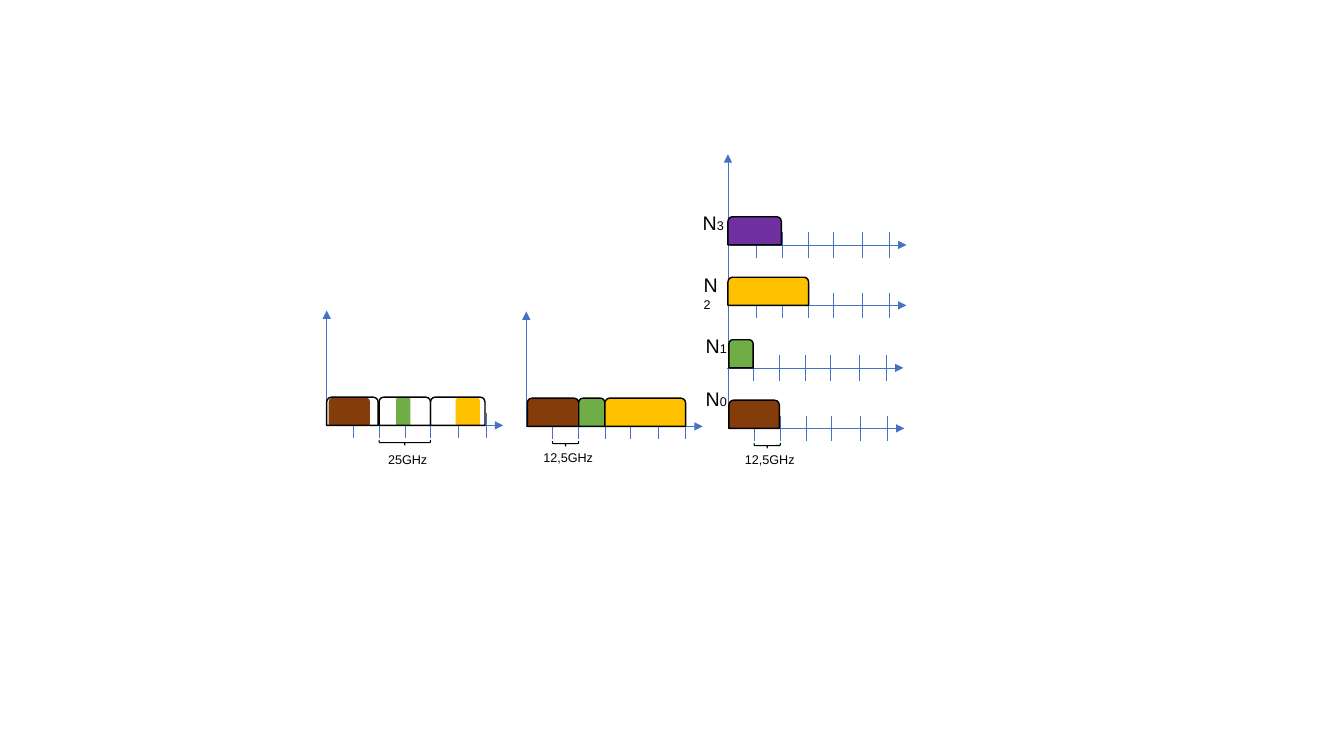
from lxml import etree
from pptx import Presentation
from pptx.dml.color import RGBColor
from pptx.enum import shapes, text
from pptx.oxml.ns import qn
from pptx.util import Inches, Pt

BLUE = RGBColor(0x44, 0x72, 0xC4)
BLACK = RGBColor(0, 0, 0)
BROWN = RGBColor(0x84, 0x3C, 0x0B)
GREEN = RGBColor(0x70, 0xAD, 0x47)
AMBER = RGBColor(0xFF, 0xC0, 0x00)
PURPLE = RGBColor(0x70, 0x30, 0xA0)

AXIS_LENGTH = 1.75
SLOT_OFFSETS = (0.26, 0.52, 0.78, 1.03, 1.31, 1.58)
SLOT_REACH = 0.125
BLOCK_HEIGHT = 0.28


def add_line(page, x1, y1, x2, y2, arrow=False):
    line = page.shapes.add_connector(
        shapes.MSO_CONNECTOR.STRAIGHT, *map(Inches, (x1, y1, x2, y2)))
    line.line.color.rgb = BLUE
    line.line.width = Pt(0.5)
    if arrow:
        etree.SubElement(line.line._get_or_add_ln(), qn("a:tailEnd"), type="triangle")
    etree.SubElement(line._element.spPr, qn("a:effectLst"))


def add_shape(page, kind, left, top, width, height, fill=None, line_width=None):
    shape = page.shapes.add_shape(kind, *map(Inches, (left, top, width, height)))
    shape.shadow.inherit = False
    if fill is None:
        shape.fill.background()
    else:
        shape.fill.solid()
        shape.fill.fore_color.rgb = fill
    if line_width is None:
        shape.line.fill.background()
    else:
        shape.line.color.rgb = BLACK
        shape.line.width = Pt(line_width)
    return shape


def add_text(page, left, top, width, height, spans, wrap=False):
    """Place a text box; spans are (words, size) pairs."""
    box = page.shapes.add_textbox(*map(Inches, (left, top, width, height)))
    box.text_frame.word_wrap = wrap
    box.text_frame.auto_size = text.MSO_AUTO_SIZE.SHAPE_TO_FIT_TEXT
    para = box.text_frame.paragraphs[0]
    para.font.name = "Arial"
    para.font.color.rgb = BLACK
    for words, size in spans:
        span = para.add_run()
        span.text = words
        span.font.size = Pt(size)


def add_frequency_axis(page, x, y):
    for offset in SLOT_OFFSETS:
        add_line(page, x + offset, y - SLOT_REACH, x + offset, y + SLOT_REACH)
    add_line(page, x, y, x + AXIS_LENGTH, y, arrow=True)


def add_blocks(page, x, y, blocks, line_width=None):
    """Stand (offset, width, fill) blocks on the axis that starts at x, y."""
    for offset, width, fill in blocks:
        add_shape(page, shapes.MSO_SHAPE.ROUND_2_SAME_RECTANGLE, x + offset,
                  y - BLOCK_HEIGHT, width, BLOCK_HEIGHT, fill, line_width)


def add_spacing_mark(page, x, y, offset, span, caption, width, drop):
    """Brace under the slots, with the spacing written below it."""
    middle, depth = x + offset + span / 2, 0.05
    brace = add_shape(page, shapes.MSO_SHAPE.LEFT_BRACE, middle - depth / 2,
                      y + 0.17 - span / 2, depth, span, line_width=0.75)
    brace.rotation = 270
    add_text(page, middle + 0.03 - width / 2, y + drop, width, 0.25, [(caption, 9)])


def add_fixed_grid(page, x, y):
    add_frequency_axis(page, x, y)
    add_blocks(page, x, y, [(0.02, 0.41, BROWN), (0.69, 0.14, GREEN), (1.28, 0.24, AMBER)])
    add_line(page, x, y, x, y - 1.14, arrow=True)
    add_blocks(page, x, y, [(0, 0.51, None), (0.52, 0.51, None), (1.03, 0.54, None)], 1)
    add_spacing_mark(page, x, y, 0.52, 0.51, "25GHz", 0.59, 0.21)


def add_flexible_grid(page, x, y):
    add_frequency_axis(page, x, y)
    add_line(page, x, y, x, y - 1.14, arrow=True)
    add_blocks(page, x, y, [(0.01, 0.51, BROWN), (0.52, 0.26, GREEN), (0.78, 0.8, AMBER)], 1)
    add_spacing_mark(page, x, y, 0.26, 0.26, "12,5GHz", 0.7, 0.18)


def add_layered_grid(page, x, y):
    add_line(page, x, y, x, y - 2.72, arrow=True)
    # Each layer: axis shift, axis rise, block, label shift and drop, label wraps
    layers = [
        (0, 0, (0.01, 0.5, BROWN), -0.32, -0.46, False),
        (-0.01, 0.6, (0.02, 0.24, GREEN), -0.32, -0.39, False),
        (0.02, 1.22, (-0.02, 0.8, AMBER), -0.34, -0.37, True),
        (0.02, 1.82, (-0.02, 0.53, PURPLE), -0.35, -0.39, False),
    ]
    for number, (shift, rise, block, label_x, label_y, wrap) in enumerate(layers):
        start, base = x + shift, y - rise
        add_frequency_axis(page, start, base)
        add_blocks(page, start, base, [block], 1)
        width, height = (0.4, 0.49) if wrap else (0.41, 0.34)
        add_text(page, x + label_x, base + label_y, width, height,
                 [("N", 14), (str(number), 9)], wrap)
    add_spacing_mark(page, x, y, 0.26, 0.26, "12,5GHz", 0.7, 0.18)


def main():
    deck = Presentation()
    deck.slide_width, deck.slide_height = Inches(13.33), Inches(7.5)
    page = deck.slides.add_slide(deck.slide_layouts[6])
    add_fixed_grid(page, 3.24, 4.22)
    add_flexible_grid(page, 5.22, 4.23)
    add_layered_grid(page, 7.22, 4.25)
    deck.save("out.pptx")


if __name__ == "__main__":
    main()
